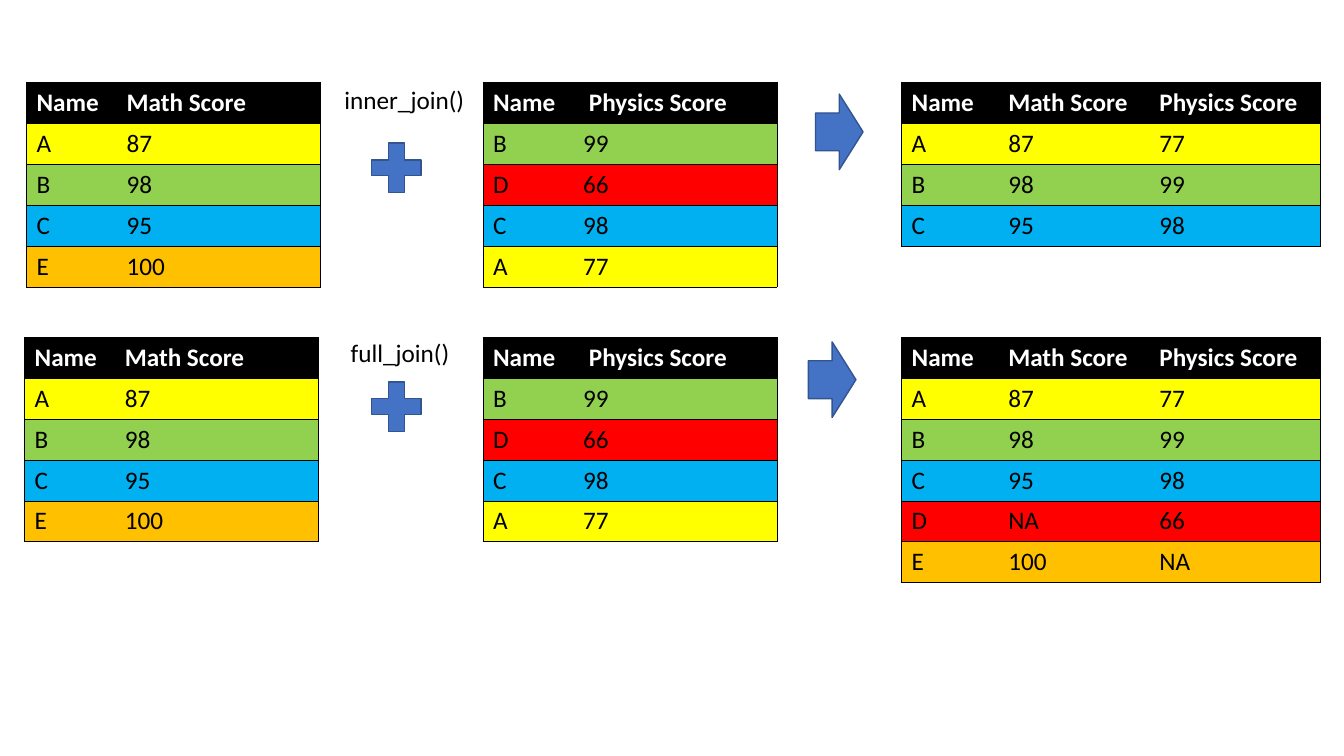
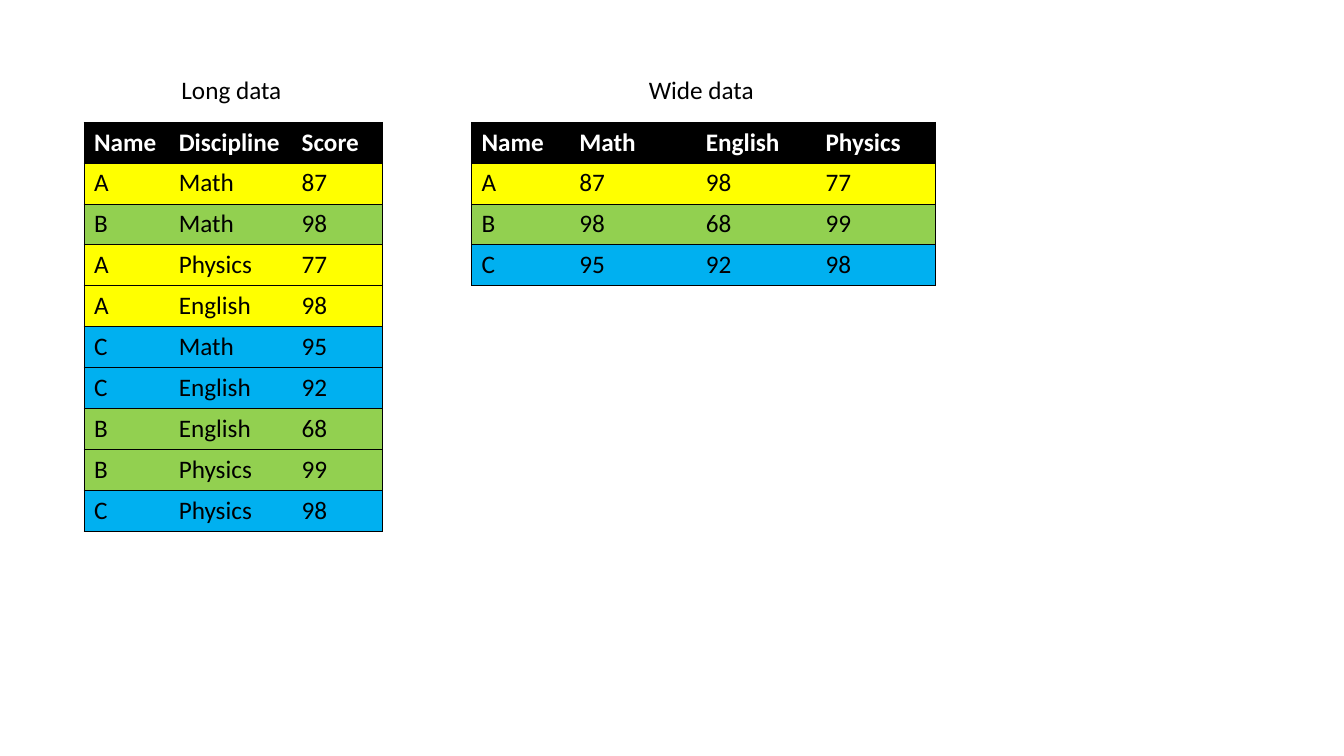
from dataclasses import dataclass

from lxml.etree import SubElement
from pptx import Presentation
from pptx.dml.color import RGBColor
from pptx.enum.shapes import MSO_SHAPE
from pptx.enum.text import MSO_AUTO_SIZE
from pptx.oxml.ns import qn
from pptx.util import Pt


@dataclass(frozen=True)
class Theme:
    black: str = "000000"
    white: str = "FFFFFF"
    symbol: str = "4472C4"
    symbol_edge: str = "325491"
    font: str = "Calibri"
    size: float = 18
    rule: float = 0.5
    edge: float = 1
    row: float = 29.2
    label_height: float = 29


@dataclass(frozen=True)
class Box:
    left: float
    top: float
    width: float
    height: float

    def inside(self, left, top, width, height):
        return Box(self.left + left, self.top + top, width, height)

    def lengths(self):
        return [Pt(value) for value in (self.left, self.top, self.width, self.height)]


THEME = Theme()
STUDENT_COLOURS = {"A": "FFFF00", "B": "92D050", "C": "00B0F0", "D": "FF0000", "E": "FFC000"}
MATH = {"A": "87", "B": "98", "C": "95", "E": "100"}
PHYSICS = {"B": "99", "D": "66", "C": "98", "A": "77"}
ENGLISH = {"A": "98", "B": "68", "C": "92"}
DISCIPLINES = {"Math": MATH, "English": ENGLISH, "Physics": PHYSICS}
LONG_ORDER = [
    ("A", "Math"), ("B", "Math"), ("A", "Physics"),
    ("A", "English"), ("C", "Math"), ("C", "English"),
    ("B", "English"), ("B", "Physics"), ("C", "Physics"),
]
SCORE_COLUMNS = (64.4, 145.6)
JOINED_COLUMNS = (69, 108, 122.4)
LONG_COLUMNS = (60.5, 87.8, 64.8)
WIDE_COLUMNS = (69.8, 90.4, 85.5, 85.5)
JOINS = [
    {
        "box": Box(18, 59, 926, 147), "verb": "inner_join()",
        "names": sorted(MATH.keys() & PHYSICS.keys()), "math_left": 0.9,
        "label": (221, -2.2, 100.8), "plus_top": 36.8, "arrow": (564.5, 8.2),
    },
    {
        "box": Box(18, 241, 926, 176), "verb": "full_join()",
        "names": sorted(MATH.keys() | PHYSICS.keys()), "math_left": -0.4,
        "label": (225.4, -3.6, 85.7), "plus_top": 25.4, "arrow": (559.4, 3.2),
    },
]


def write(frame, text, colour, bold=False):
    run = frame.paragraphs[0].add_run()
    run.text = text
    for name, value in {"name": THEME.font, "size": Pt(THEME.size), "bold": bold}.items():
        setattr(run.font, name, value)
    run.font.color.rgb = RGBColor.from_string(colour)


def rule_cell(cell, sides):
    properties = cell._tc.get_or_add_tcPr()
    for side, visible in sides.items():
        rule = SubElement(properties, qn(f"a:ln{side}"), w=str(Pt(THEME.rule)))
        if visible:
            fill = SubElement(rule, qn("a:solidFill"))
            SubElement(fill, qn("a:srgbClr"), val=THEME.black)
        else:
            SubElement(rule, qn("a:noFill"))


def score_table(slide, left, top, columns, header, records):
    rows = [header, *records]
    box = Box(left, top, sum(columns), len(rows) * THEME.row)
    table = slide.shapes.add_table(len(rows), len(columns), *box.lengths()).table
    table.horz_banding = False
    for column, width in zip(table.columns, columns):
        column.width = Pt(width)
    for row_index, values in enumerate(rows):
        table.rows[row_index].height = Pt(THEME.row)
        heading = row_index == 0
        fill = THEME.black if heading else STUDENT_COLOURS[values[0]]
        for column_index, value in enumerate(values):
            cell = table.cell(row_index, column_index)
            rule_cell(cell, {
                "L": column_index == 0, "R": column_index == len(columns) - 1,
                "T": True, "B": True,
            })
            cell.fill.solid()
            cell.fill.fore_color.rgb = RGBColor.from_string(fill)
            write(cell.text_frame, value, THEME.white if heading else THEME.black, heading)
    return box


def label(slide, box, text):
    frame = slide.shapes.add_textbox(*box.lengths()).text_frame
    for name, value in {"word_wrap": False, "auto_size": MSO_AUTO_SIZE.SHAPE_TO_FIT_TEXT}.items():
        setattr(frame, name, value)
    write(frame, text, THEME.black)


def symbol(slide, box, preset):
    sign = slide.shapes.add_shape(preset, *box.lengths())
    sign.shadow.inherit = False
    sign.fill.solid()
    sign.fill.fore_color.rgb = RGBColor.from_string(THEME.symbol)
    sign.line.color.rgb = RGBColor.from_string(THEME.symbol_edge)
    sign.line.width = Pt(THEME.edge)


def join_row(slide, box, verb, names, math_left, label_place, plus_top, arrow_place):
    score_table(slide, box.left + math_left, box.top, SCORE_COLUMNS,
                ("Name", "Math Score"), MATH.items())
    score_table(slide, box.left + 327, box.top, SCORE_COLUMNS,
                ("Name", " Physics Score"), PHYSICS.items())
    joined = [(name, MATH.get(name, "NA"), PHYSICS.get(name, "NA")) for name in names]
    score_table(slide, box.left + 626, box.top, JOINED_COLUMNS,
                ("Name", "Math Score", "Physics Score"), joined)
    label(slide, box.inside(*label_place, THEME.label_height), verb)
    symbol(slide, box.inside(241.2, plus_top, 48, 48), MSO_SHAPE.MATH_PLUS)
    symbol(slide, box.inside(*arrow_place, 34, 54), MSO_SHAPE.RIGHT_ARROW)


def titled_table(slide, left, top, title, title_width, columns, header, records):
    box = score_table(slide, left, top, columns, header, records)
    centred = (box.width - title_width) / 2
    label(slide, box.inside(centred, -38, title_width, THEME.label_height), title)


def joins_slide(slide):
    for join in JOINS:
        join_row(slide, join["box"], join["verb"], join["names"], join["math_left"],
                 join["label"], join["plus_top"], join["arrow"])


def shapes_of_data_slide(slide):
    long_records = [(name, subject, DISCIPLINES[subject][name]) for name, subject in LONG_ORDER]
    wide_records = [
        (name, *(scores[name] for scores in DISCIPLINES.values())) for name in sorted(ENGLISH)
    ]
    titled_table(slide, 60, 87.2, "Long data", 88, LONG_COLUMNS,
                 ("Name", "Discipline", "Score"), long_records)
    titled_table(slide, 336.8, 87.2, "Wide data", 92, WIDE_COLUMNS,
                 ("Name", *DISCIPLINES), wide_records)


deck = Presentation()
for name, value in {"slide_width": Pt(960), "slide_height": Pt(540)}.items():
    setattr(deck, name, value)
for build in (joins_slide, shapes_of_data_slide):
    build(deck.slides.add_slide(deck.slide_layouts[6]))
deck.save("out.pptx")
